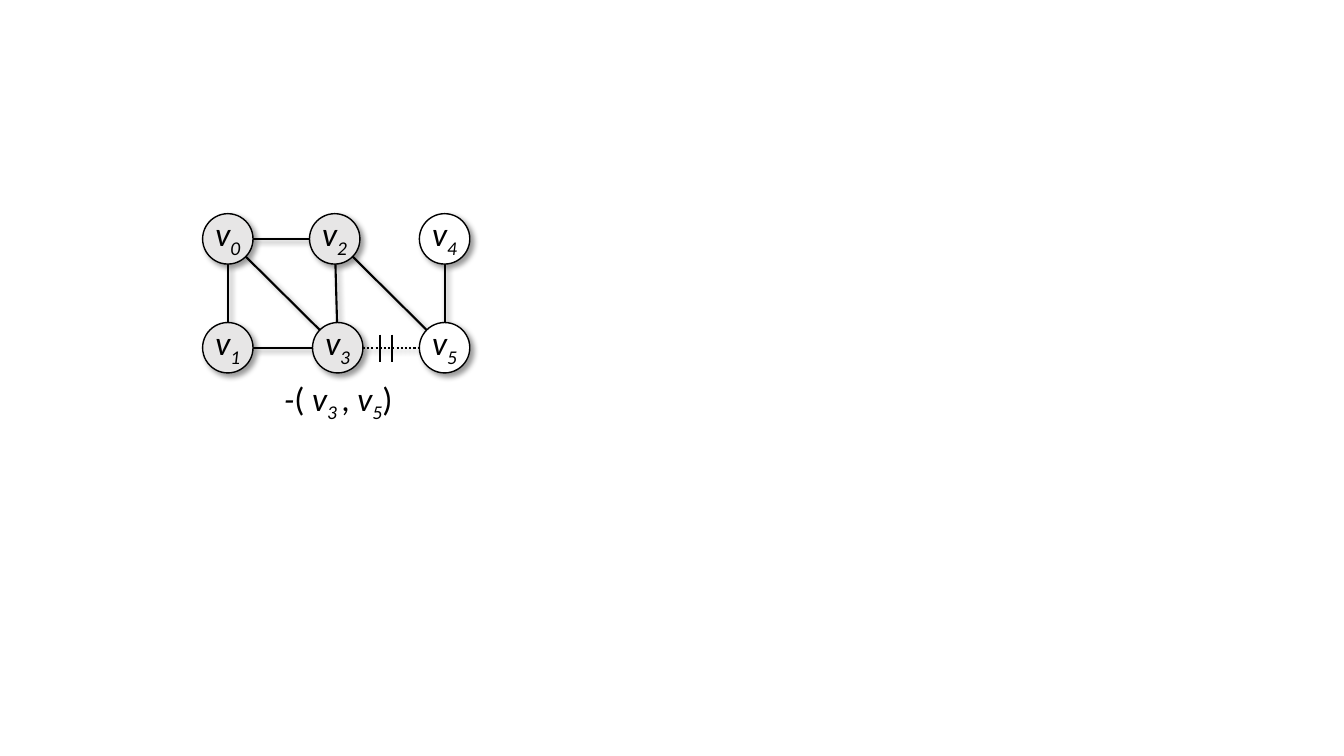
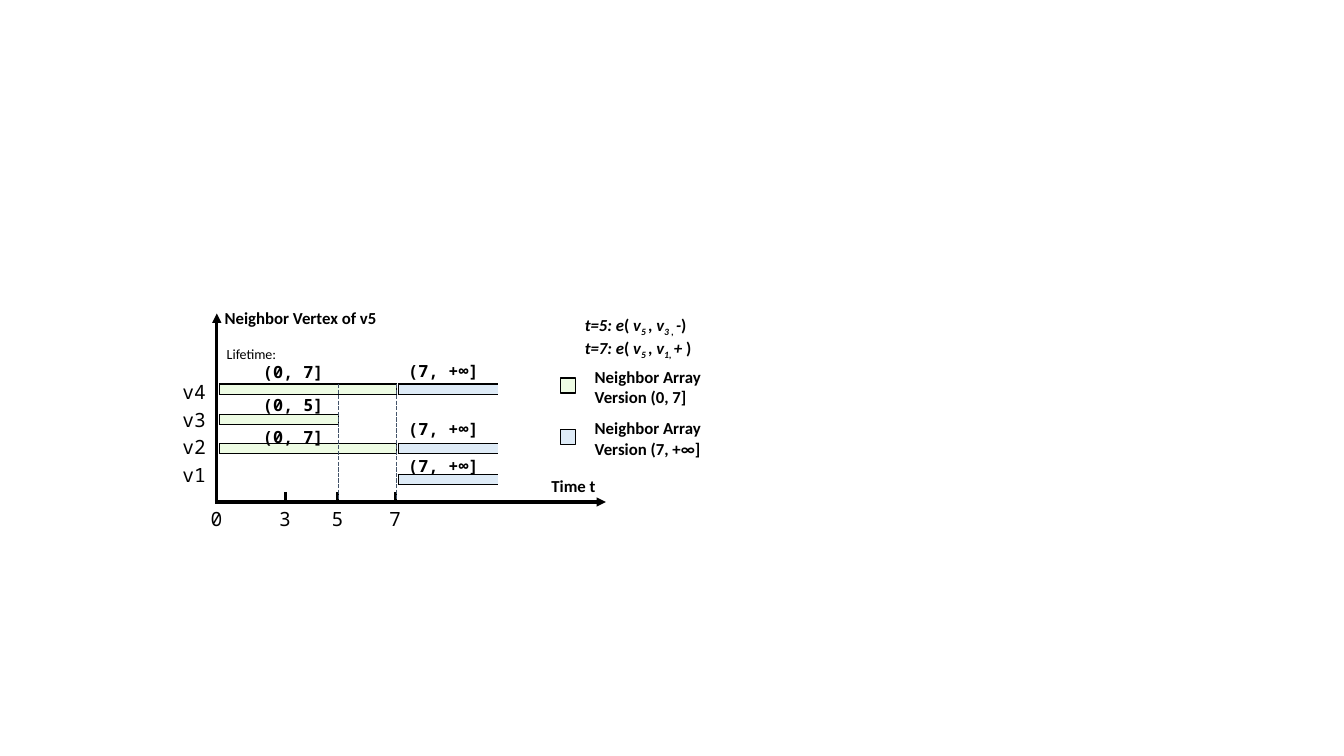
import math
from lxml import etree
from pptx import Presentation
from pptx import util as u
from pptx.dml.color import RGBColor
from pptx.enum import dml, shapes, text
from pptx.oxml import ns

HUES = {"ink": "000000", "gray": "E7E6E6", "white": "FFFFFF",
        "green": "EEFCE4", "blue": "DEEBF7", "slate": "44546A"}
SANS, MONO = "Calibri", "Noto Sans Mono"
DASH = dml.MSO_LINE


def hue(name):
    """Return the named colour."""
    return RGBColor.from_string(HUES[name])


def add(root, tag, **attrs):
    """Append a drawing element with its attributes."""
    return etree.SubElement(root, ns.qn(tag), {k: str(v) for k, v in attrs.items()})


def shade(item, on):
    """Give an item a soft shadow or an empty effect list."""
    props = item._element.spPr
    for old in props.findall(ns.qn("a:effectLst")):
        props.remove(old)
    fx = add(props, "a:effectLst")
    if on:
        cast = add(fx, "a:outerShdw", blurRad=u.Pt(4), dist=u.Pt(3),
                   dir=45 * 60000, algn="tl", rotWithShape=0)
        add(add(cast, "a:srgbClr", val=HUES["ink"]), "a:alpha", val=40000)


def line(slide, start, end, width=1.5, color="ink", dash=None, soft=False, arrow=False):
    """Draw a straight line between two points."""
    item = slide.shapes.add_connector(
        shapes.MSO_CONNECTOR.STRAIGHT, *(u.Inches(v) for v in (*start, *end)))
    item.line.width = u.Pt(width)
    item.line.color.rgb = hue(color)
    if dash:
        item.line.dash_style = dash
    if arrow:
        add(item.line._get_or_add_ln(), "a:tailEnd", type="triangle")
    shade(item, soft)


def shape(slide, kind, box, fill, soft=False):
    """Draw an outlined preset shape."""
    item = slide.shapes.add_shape(kind, *map(u.Inches, box))
    item.fill.solid()
    item.fill.fore_color.rgb = hue(fill)
    item.line.color.rgb = hue("ink")
    item.line.width = u.Pt(1)
    shade(item, soft)
    return item


def write(frame, rows, size=12, font=SANS, bold=False, center=False,
          gap=0, insets=(0.1, 0.05, 0.1, 0.05), wrap=True):
    """Fill a frame with rows of text or (text, flags) runs: i italic, s subscript."""
    frame.word_wrap = wrap
    (frame.margin_left, frame.margin_top,
     frame.margin_right, frame.margin_bottom) = map(u.Inches, insets)
    for n, row in enumerate(rows):
        para = frame.add_paragraph() if n else frame.paragraphs[0]
        para.alignment = text.PP_ALIGN.CENTER if center else text.PP_ALIGN.LEFT
        para.space_before = u.Pt(gap)
        for words, flags in [(row, "")] if isinstance(row, str) else row:
            run = para.add_run()
            run.text = words
            face = run.font
            face.name, face.size, face.bold = font, u.Pt(size), bold
            face.italic = "i" in flags
            face.color.rgb = hue("ink")
            if "s" in flags:
                run._r.get_or_add_rPr().set("baseline", "-25000")


def label(slide, box, *rows, **form):
    """Place a text box."""
    frame = slide.shapes.add_textbox(*map(u.Inches, box)).text_frame
    write(frame, rows, **form)
    frame.auto_size = text.MSO_AUTO_SIZE.SHAPE_TO_FIT_TEXT


def graph(slide, left, top):
    """Draw the vertex graph with its removed edge."""
    size, step = 0.5, 1.08
    spots = [(0, 0), (0, step), (1.06, 0), (1.09, step), (2.15, 0), (2.15, step)]
    mids = [(left + x + size / 2, top + y + size / 2) for x, y in spots]
    for a, b in [(0, 1), (0, 3), (2, 3), (0, 2), (3, 5), (4, 5), (1, 3), (2, 5)]:
        (ax, ay), (bx, by) = mids[a], mids[b]
        cut = size / 2 / math.hypot(bx - ax, by - ay)
        dx, dy = cut * (bx - ax), cut * (by - ay)
        line(slide, (ax + dx, ay + dy), (bx - dx, by - dy), soft=True,
             dash=DASH.ROUND_DOT if (a, b) == (3, 5) else None)
    for n, (x, y) in enumerate(spots):
        node = shape(slide, shapes.MSO_SHAPE.OVAL, (left + x, top + y, size, size),
                     "gray" if n < 4 else "white", soft=True)
        node.text_frame.vertical_anchor = text.MSO_ANCHOR.MIDDLE
        write(node.text_frame, [[("v", "i"), (str(n), "is")]], size=24,
              center=True, insets=(0.1, 0.05, 0.1, 0.1), wrap=False)
    for x in (1.76, 1.88):
        line(slide, (left + x, top + 1.2), (left + x, top + 1.47), 1)
    label(slide, (left, top + 1.58, 2.69, 0.5),
          [("-", "i"), ("(", ""), (" v", "i"), ("3 ", "is"), (",", ""),
           (" v", "i"), ("5", "is"), (")", "")], size=24, center=True)


def bar(slide, box, fill, edge):
    """Draw a lifetime bar as a one-cell table."""
    table = slide.shapes.add_table(1, 1, *map(u.Inches, box)).table
    table.first_row = table.horz_banding = False
    cell = table.cell(0, 0)
    cell.margin_left = cell.margin_right = cell.margin_top = cell.margin_bottom = 0
    add(cell.text_frame.paragraphs[0]._p, "a:endParaRPr", sz=400)
    props = cell._tc.get_or_add_tcPr()
    for side in "LRTB":
        rim = add(props, "a:ln" + side, w=u.Pt(1))
        tint = HUES[edge if side == "R" else "ink"]
        add(add(rim, "a:solidFill"), "a:srgbClr", val=tint)
    cell.fill.solid()
    cell.fill.fore_color.rgb = hue(fill)


def axes(slide, left, base):
    """Draw both axes, ticks and their labels."""
    line(slide, (left - 0.02, base), (left + 3.86, base), 2.25, arrow=True)
    line(slide, (left, base), (left, base - 1.87), 2.25, arrow=True)
    for name, x in (("0", 0), ("3", 0.68), ("5", 1.2), ("7", 1.77)):
        if x:
            line(slide, (left + x, base - 0.1), (left + x, base), 2.25, dash=DASH.SQUARE_DOT)
        label(slide, (left + x - 0.16, base, 0.25, 0.34), name, size=14, font=MONO)
    label(slide, (left - 0.44, base - 1.26, 0.62, 1.17),
          "v4", "v3", "v2", "v1", size=14, font=MONO, gap=3)
    label(slide, (left + 3.22, base - 0.31, 1.55, 0.3), "Time t", bold=True)
    label(slide, (left - 0.02, base - 1.98, 2.36, 0.3), "Neighbor Vertex of v5", bold=True)
    label(slide, (left, base - 1.6, 0.78, 0.27), "Lifetime:", size=10)


def spans(slide, left, base):
    """Draw the lifetime bars, their ranges and the event lines."""
    news = [(y, 1.8, 1, "blue", "white", "(7, +∞]", 1.8, t)
            for y, t in ((1.17, 1.45), (0.58, 0.87), (0.27, 0.51))]
    olds = [(y, 0.03, w, "green", "ink", name, 0.36, t)
            for y, w, name, t in ((1.17, 1.75, "(0, 7]", 1.44),
                                  (0.87, 1.18, "(0, 5]", 1.11), (0.58, 1.75, "(0, 7]", 0.8))]
    for y, x, w, fill, edge, *_ in news + olds:
        bar(slide, (left + x, base - y, w, 0.1), fill, edge)
    for *_, name, x, y in news + olds:
        label(slide, (left + x, base - y, 1.42, 0.3), name, font=MONO, bold=True)
    for x in (1.21, 1.78):
        line(slide, (left + x, base - 1.17), (left + x, base - 0.02), 1, "slate", DASH.SQUARE_DOT)


def legend(slide, left, top):
    """Write the events and the key to both array versions."""
    events = [[(f"t={t}: e", "i"), ("(", ""), (" v", "i"), ("5 ", "is"), (",", ""),
               (" v", "i"), (v, "is"), (sign, "i"), (")", "")]
              for t, v, sign in ((5, "3 , ", "-"), (7, "1, ", "+ "))]
    label(slide, (left, top, 1.16, 0.4), *events, bold=True, insets=(0, 0, 0, 0))
    for n, (fill, span) in enumerate((("green", "(0, 7]"), ("blue", "(7, +∞]"))):
        y = top + 0.47 + n * 0.51
        shape(slide, shapes.MSO_SHAPE.RECTANGLE, (left - 0.24, y + 0.16, 0.15, 0.15), fill)
        label(slide, (left, y, 2.61, 0.5), "Neighbor Array", f"Version {span}", bold=True)


def main():
    """Build and save the deck."""
    deck = Presentation()
    deck.slide_width, deck.slide_height = u.Inches(13.33), u.Inches(7.5)
    first, second = (deck.slides.add_slide(deck.slide_layouts[6]) for _ in range(2))
    graph(first, 2.01, 2.12)
    axes(second, 2.15, 4.98)
    spans(second, 2.15, 4.98)
    legend(second, 5.8, 3.12)
    deck.save("out.pptx")


if __name__ == "__main__":
    main()
